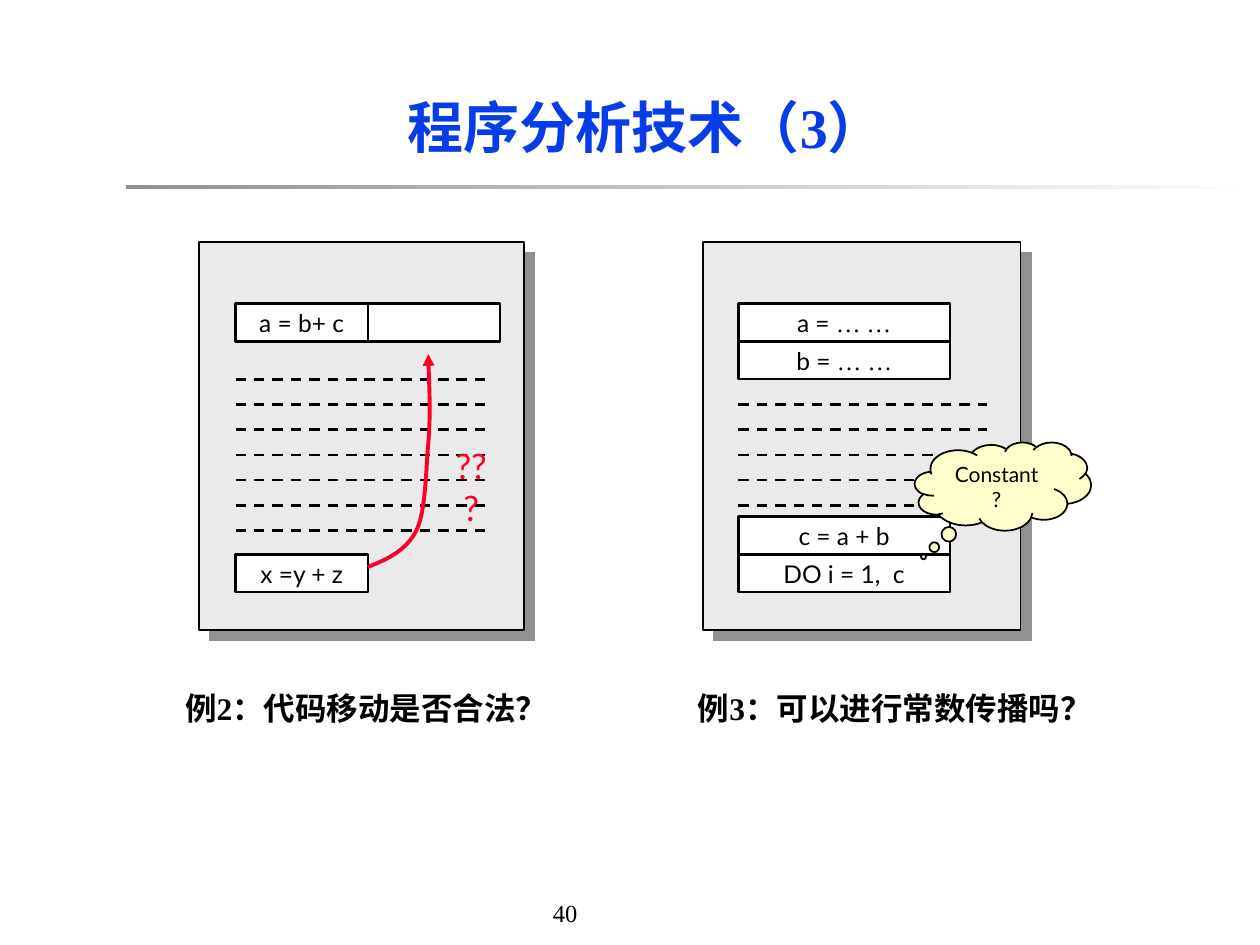
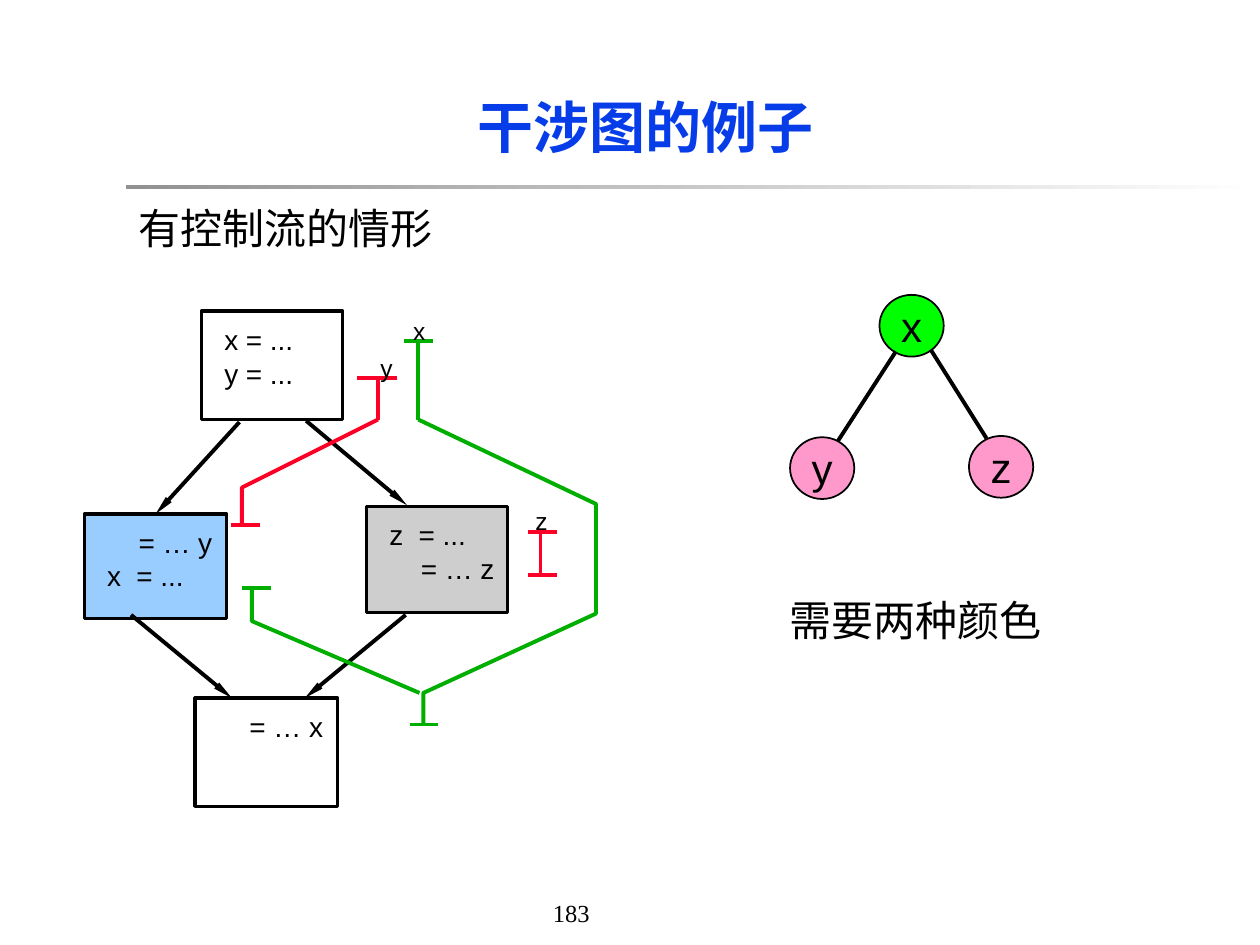
"""Build two slides on program analysis and interference graphs."""
import itertools

import lxml.etree
import pptx
import pptx.dml.color
import pptx.enum.dml
import pptx.enum.lang
import pptx.enum.shapes
import pptx.enum.text
import pptx.oxml
import pptx.oxml.ns
import pptx.util

RGB = pptx.dml.color.RGBColor
BLACK = RGB(0x00, 0x00, 0x00)
WHITE = RGB(0xFF, 0xFF, 0xFF)
BLUE = RGB(0x06, 0x3D, 0xE8)
RED = RGB(0xFC, 0x01, 0x28)
GREEN = RGB(0x00, 0xAE, 0x00)
LIME = RGB(0x00, 0xFF, 0x00)
PINK = RGB(0xFF, 0x99, 0xCC)
SKY = RGB(0x99, 0xCC, 0xFF)
CREAM = RGB(0xFF, 0xFF, 0xCC)
PALE = RGB(0xEA, 0xEA, 0xEA)
GREY = RGB(0xCE, 0xCE, 0xCE)
SHADE = RGB(0x91, 0x91, 0x91)

SERIF, SANS, CODE = "Times New Roman", "Arial", "Lato"
SHAPE = pptx.enum.shapes.MSO_SHAPE
LEFT = pptx.enum.text.PP_ALIGN.LEFT
CENTER = pptx.enum.text.PP_ALIGN.CENTER
TOP = pptx.enum.text.MSO_ANCHOR.TOP
MIDDLE = pptx.enum.text.MSO_ANCHOR.MIDDLE
PX = pptx.util.Inches(1) // 100
qn = pptx.oxml.ns.qn


def emu(*values):
    """Turn px lengths into EMU."""
    return [value * PX for value in values]


def style(run, font, size, color, bold=False):
    """Format one run."""
    run.font.name = font
    run.font.size = pptx.util.Pt(size)
    run.font.color.rgb = color
    run.font.bold = bold
    run.font.language_id = pptx.enum.lang.MSO_LANGUAGE_ID.SIMPLIFIED_CHINESE


def write(shape, text, font, size, color=BLACK, bold=False,
          align=CENTER, anchor=MIDDLE, wrap=False):
    """Set the text of a shape and format it."""
    frame = shape.text_frame
    frame.text = text
    frame.word_wrap = wrap
    frame.vertical_anchor = anchor
    for para in frame.paragraphs:
        para.alignment = align
        for run in para.runs:
            style(run, font, size, color, bold)


def label(slide, box, text, font, size, color=BLACK, bold=False,
          align=LEFT, anchor=TOP, wrap=False):
    """Add a text box."""
    shape = slide.shapes.add_textbox(*emu(*box))
    write(shape, text, font, size, color, bold, align, anchor, wrap)


def solid(slide, kind, box, fill, width):
    """Add a filled shape with a black outline."""
    shape = slide.shapes.add_shape(kind, *emu(*box))
    shape.shadow.inherit = False
    shape.fill.solid()
    shape.fill.fore_color.rgb = fill
    shape.line.color.rgb = BLACK
    shape.line.width = pptx.util.Pt(width)
    return shape


def arrow(line, width="med", length="med"):
    """Put a triangle at the end of a line."""
    lxml.etree.SubElement(line.line._get_or_add_ln(), qn("a:tailEnd"),
                          type="triangle", w=width, len=length)


def line(slide, start, end, color=BLACK, width=2.25, dash=False):
    """Add a straight line."""
    kind = pptx.enum.shapes.MSO_CONNECTOR.STRAIGHT
    link = slide.shapes.add_connector(kind, *emu(*start, *end))
    link.line.color.rgb = color
    link.line.width = pptx.util.Pt(width)
    if dash:
        link.line.dash_style = pptx.enum.dml.MSO_LINE.DASH
    lxml.etree.SubElement(link._element.spPr, qn("a:effectLst"))
    return link


def trace(slide, points, color):
    """Add an open outline through the points."""
    pen = slide.shapes.build_freeform(*points[0], scale=PX)
    pen.add_line_segments(points[1:], close=False)
    shape = pen.convert_to_shape()
    shape.shadow.inherit = False
    shape.fill.background()
    shape.line.color.rgb = color
    shape.line.width = pptx.util.Pt(2.25)
    return shape


def bend(shape):
    """Merge each three segments of an outline into one curve."""
    steps = list(shape._element.iter(qn("a:lnTo")))
    for first, *rest in zip(steps[::3], steps[1::3], steps[2::3]):
        first.tag = qn("a:cubicBezTo")
        for step in rest:
            first.append(step[0])
            step.getparent().remove(step)


def frame(deck, title, number):
    """Add a slide with its title, rule and page number."""
    slide = deck.slides.add_slide(deck.slide_layouts[6])
    label(slide, (429, 708, 102, 33), number, SERIF, 14, wrap=True)
    rule = slide.shapes.add_shape(SHAPE.RECTANGLE, *emu(100, 147, 900, 3))
    rule.shadow.inherit = False
    rule.line.fill.background()
    rule.fill.gradient()
    rule.fill.gradient_angle = 0
    for stop, color in zip(rule.fill.gradient_stops, (SHADE, WHITE)):
        stop.color.rgb = color
    label(slide, (100, 50, 825, 100), title, SERIF, 32, BLUE, True,
          CENTER, MIDDLE, True)
    return slide


def sheet(slide, left, width):
    """Add a page of code with a hard shadow."""
    page = solid(slide, SHAPE.RECTANGLE, (left, 192, width, 308), PALE, 0.75)
    glow = page._element.spPr.find(qn("a:effectLst"))
    cast = lxml.etree.SubElement(glow, qn("a:outerShdw"), dist=str(12 * PX),
                                 dir="2700000", algn="ctr", rotWithShape="0")
    lxml.etree.SubElement(cast, qn("a:srgbClr"), val=str(SHADE))


def cell(slide, left, top, width, text="", dots=""):
    """Add a code line in a box, with dots in the serif font."""
    shape = solid(slide, SHAPE.RECTANGLE, (left, top, width, 30), WHITE, 1.5)
    write(shape, text, CODE, 14)
    if dots:
        run = shape.text_frame.paragraphs[0].add_run()
        run.text = dots
        style(run, SERIF, 14, BLACK)


def dashes(slide, left, right, top, count):
    """Add evenly spaced dashed lines for omitted code."""
    for row in range(count):
        y = top + 20 * row
        line(slide, (left, y), (right, y), width=1.5, dash=True)


def block(slide, box, fill, rows):
    """Add a flow block whose rows are pairs of text and indent."""
    shape = solid(slide, SHAPE.RECTANGLE, box, fill, 2)
    write(shape, "\n".join(text for text, _ in rows), SANS, 16,
          align=LEFT, anchor=TOP, wrap=True)
    text = shape.text_frame
    text.margin_left, text.margin_top, text.margin_right = emu(18, 9, 0)
    for para, (_, indent) in zip(text.paragraphs, rows):
        para._p.get_or_add_pPr().set("marL", str(indent * PX))
    return shape


def node(slide, left, top, name, fill):
    """Add a graph node."""
    shape = solid(slide, SHAPE.OVAL, (left, top, 51, 49), fill, 1)
    write(shape, name, SANS, 24)


def bar(slide, left, top, color, width=23):
    """Add the end bar of a live range."""
    line(slide, (left, top), (left + width, top), color)


def motion(slide):
    """Draw the code motion example."""
    sheet(slide, 158, 258)
    cell(slide, 187, 241, 105, "a = b+ c")
    cell(slide, 292, 241, 105)
    dashes(slide, 187, 388, 301, 7)
    cell(slide, 187, 440, 105, "x =y + z")
    curve = trace(slide, [(292, 450), (307, 444), (323, 437), (331, 420),
                          (338, 404), (338, 374), (340, 351),
                          (342, 328), (340, 293), (340, 281)], RED)
    bend(curve)
    arrow(curve)
    label(slide, (350, 351, 48, 70), "???", CODE, 20, RED,
          align=CENTER, anchor=MIDDLE)
    label(slide, (137, 542, 319, 40), "例2：代码移动是否合法？", SERIF, 18,
          bold=True)


def constant(slide):
    """Draw the constant propagation example."""
    sheet(slide, 558, 252)
    cell(slide, 586, 241, 168, "a = ", "… …")
    cell(slide, 586, 271, 168, "b = ", "… …")
    dashes(slide, 586, 783, 321, 5)
    cell(slide, 586, 440, 168, "DO i = 1,  c")
    cell(slide, 586, 410, 168, "c = a + b")
    cloud = solid(slide, SHAPE.CLOUD_CALLOUT, (726, 351, 140, 70), CREAM, 1)
    cloud.adjustments[0], cloud.adjustments[1] = -0.45, 0.8
    write(cloud, "Constant?", CODE, 12, anchor=TOP, wrap=True)
    label(slide, (544, 542, 344, 40), "例3：可以进行常数传播吗？", SERIF, 18,
          bold=True)


def flow(slide):
    """Draw the control flow blocks and their arrows."""
    block(slide, (160, 247, 112, 86), WHITE, [("x = ...", 0), ("y = ...", 0)])
    block(slide, (291, 402, 112, 84), GREY, [("z  = ...", 0), ("= … z", 25)])
    use = block(slide, (67, 408, 113, 83), SKY,
                [("= … y", 25), ("x  = ...", 0)])
    block(slide, (155, 554, 113, 86), WHITE, [("= … x", 25)])
    paths = [((190, 335), (125, 408)), ((104, 488), (184, 554)),
             ((243, 334), (323, 401)), ((322, 488), (242, 554))]
    links = [line(slide, *ends) for ends in paths]
    links[0].end_connect(use, 0)
    for link in links:
        arrow(link, "sm", "lg")


def ranges(slide):
    """Draw the live ranges of x, y and z."""
    for left, top, color in [(419, 422, RED), (419, 456, RED),
                             (183, 417, RED), (321, 271, GREEN),
                             (192, 467, GREEN), (325, 575, GREEN)]:
        bar(slide, left, top, color)
    bar(slide, 283, 300, RED, 32)
    line(slide, (429, 422), (429, 456), RED)
    line(slide, (332, 271), (332, 333), GREEN)
    line(slide, (300, 300), (300, 333), RED)
    trace(slide, [(332, 333), (473, 400), (473, 487), (336, 550), (336, 575)],
          GREEN)
    trace(slide, [(300, 333), (192, 387), (192, 417)], RED)
    trace(slide, [(200, 467), (200, 493), (333, 550)], GREEN)
    for left, top, name in [(318, 246, "x"), (292, 275, "y"),
                            (415, 397, "z")]:
        label(slide, (left, top, 30, 34), name, SANS, 14)


def graph(slide):
    """Draw the interference graph."""
    node(slide, 698, 234, "x", LIME)
    node(slide, 769, 346, "z", PINK)
    node(slide, 627, 347, "y", PINK)
    line(slide, (711, 279), (665, 350))
    line(slide, (739, 278), (783, 348))


def main():
    """Build and save the deck."""
    deck = pptx.Presentation()
    deck.slide_width, deck.slide_height = emu(1000, 750)
    slide = frame(deck, "程序分析技术（3）", "40")
    motion(slide)
    constant(slide)
    slide = frame(deck, "干涉图的例子", "183")
    label(slide, (100, 156, 253, 50), "有控制流的情形", SANS, 24)
    flow(slide)
    ranges(slide)
    graph(slide)
    label(slide, (617, 467, 220, 50), "需要两种颜色", SANS, 24)
    deck.save("out.pptx")


if __name__ == "__main__":
    main()
